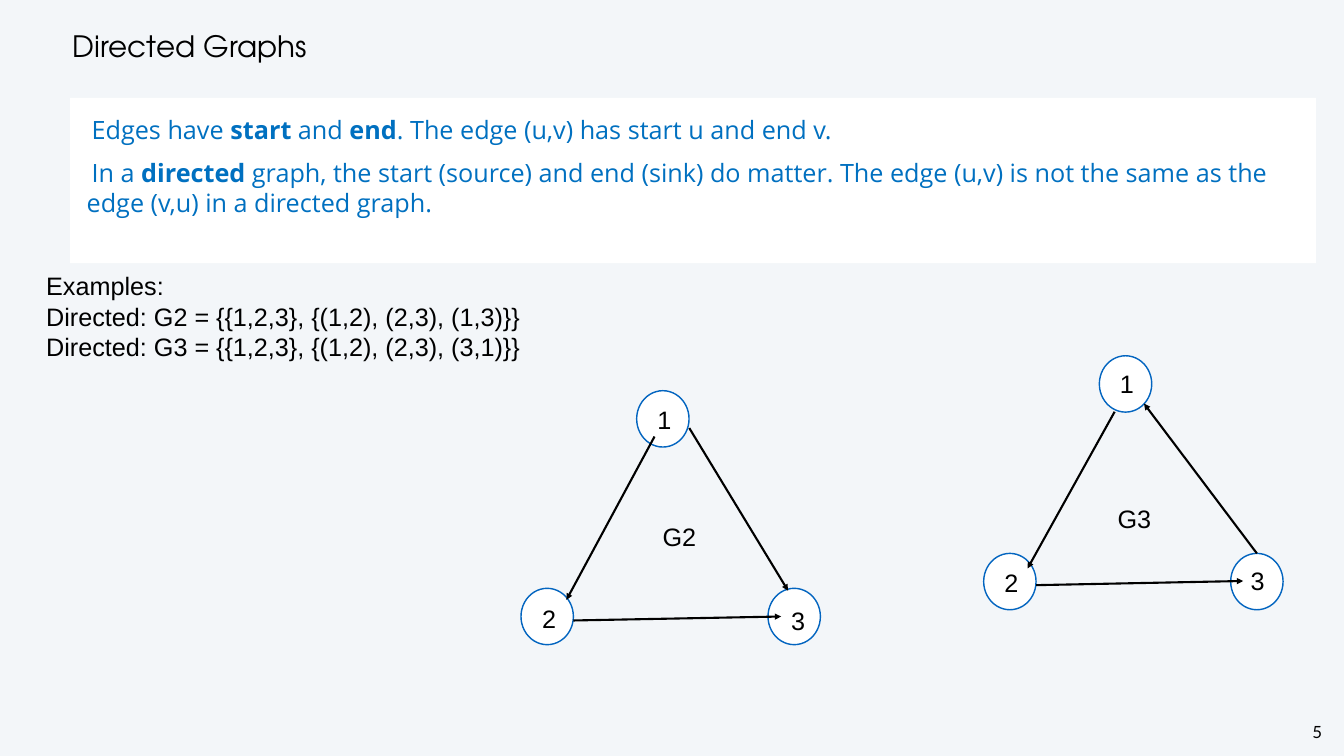
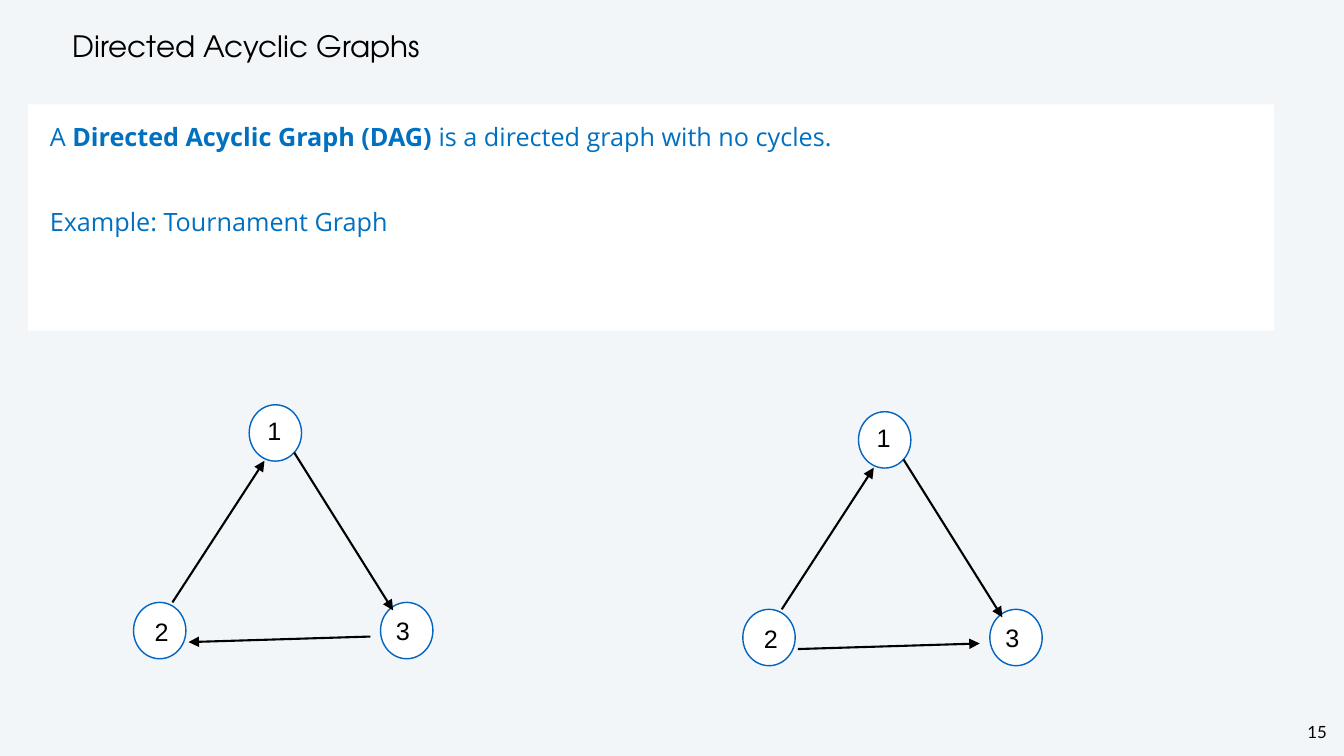
from dataclasses import dataclass, field
from typing import Any, NamedTuple

import pptx
import pptx.dml.color
import pptx.enum.shapes
import pptx.enum.text
import pptx.oxml
import pptx.oxml.ns
import pptx.util
from pptx.util import Cm, Pt

Anchor = pptx.enum.text.MSO_ANCHOR
AutoSize = pptx.enum.text.MSO_AUTO_SIZE
Align = pptx.enum.text.PP_ALIGN
ShapeKind = pptx.enum.shapes.MSO_SHAPE


# Theme: colours, fonts, type sizes
class TextStyle(NamedTuple):
    font: dict[str, Any]
    color: str
    para: dict[str, Any]
    frame: dict[str, Any]
    inset: tuple[float, float]  # horizontal, vertical, in cm
    first_indent: float = 0


@dataclass(frozen=True)
class Theme:
    background: str = "F3F6F9"
    panel: str = "FFFFFF"
    node_line: str = "0365C0"
    edge_line: str = "000000"
    node_width: float = 2
    edge_width: float = 3
    title: TextStyle = TextStyle(
        {"name": "TeX Gyre Adventor", "size": Pt(42)}, "000000",
        {"line_spacing": Pt(50), "space_before": Pt(3)},
        {"word_wrap": True, "vertical_anchor": Anchor.MIDDLE}, (0.15, 0.15))
    body: TextStyle = TextStyle(
        {"name": "Open Sans", "size": Pt(36)}, "0070C0",
        {"line_spacing": Pt(43), "space_before": Pt(18)},
        {"word_wrap": True, "vertical_anchor": Anchor.TOP}, (0.84, 0.84), 0.25)
    examples: TextStyle = TextStyle(
        {"name": "Arial", "size": Pt(36)}, "000000", {},
        {"word_wrap": True, "auto_size": AutoSize.SHAPE_TO_FIT_TEXT}, (0.25, 0.13))
    label: TextStyle = TextStyle(
        {"name": "Arial", "size": Pt(36)}, "000000", {},
        {"word_wrap": True, "auto_size": AutoSize.SHAPE_TO_FIT_TEXT,
         "vertical_anchor": Anchor.MIDDLE}, (0.15, 0.15))
    number: TextStyle = TextStyle(
        {"name": "Lato", "size": Pt(24)}, "000000",
        {"line_spacing": Pt(28), "alignment": Align.CENTER},
        {"word_wrap": False, "auto_size": AutoSize.NONE}, (0.1, 0.1))


THEME = Theme()


# Content types; all lengths in cm
class Span(NamedTuple):
    text: str
    bold: bool = False


class Point(NamedTuple):
    x: float
    y: float


class Area(NamedTuple):
    left: float
    top: float
    width: float
    height: float

    def lengths(self) -> tuple[Cm, ...]:
        return tuple(Cm(value) for value in self)


class Para(NamedTuple):
    spans: list[Span]
    space_before: float | None = None  # points, overrides the style


class Edge(NamedTuple):
    start: Point
    end: Point


@dataclass(frozen=True)
class Graph:
    """Three numbered nodes; labels and edges are relative to the origin."""
    origin: Point
    labels: tuple[Point, ...]
    edges: tuple[Edge, ...]
    arrow_size: str = "med"
    caption: str = ""
    caption_at: Point = Point(0, 0)


@dataclass(frozen=True)
class Page:
    title: str
    number: str
    panel: Area
    body: list[Para]
    graphs: list[Graph]
    examples: list[Para] = field(default_factory=list)


TITLE_AREA = Area(3.53, 1.07, 57.45, 2.51)
NUMBER_AREA = Area(65.49, 36.32, 1.8, 1.19)  # wide enough for two digits
EXAMPLES_AREA = Area(2.08, 13.51, 33.86, 4.88)
NODES = (Point(5.83, 0), Point(0, 9.96), Point(12.45, 9.96))
NODE_SIZE = Point(2.64, 2.84)
LABEL_SIZE = Point(2.74, 1.83)


# Drawing
def rgb(value: str) -> pptx.dml.color.RGBColor:
    return pptx.dml.color.RGBColor.from_string(value)


def apply(target: Any, values: dict[str, Any]) -> None:
    for name, value in values.items():
        setattr(target, name, value)


def write(box: Any, paras: list[Para], style: TextStyle) -> None:
    frame = box.text_frame
    across, down = (Cm(value) for value in style.inset)
    apply(frame, {"margin_left": across, "margin_right": across,
                  "margin_top": down, "margin_bottom": down} | style.frame)
    for index, content in enumerate(paras):
        para = frame.add_paragraph() if index else frame.paragraphs[0]
        apply(para, {"alignment": Align.LEFT} | style.para)
        if content.space_before is not None:
            para.space_before = Pt(content.space_before)
        if style.first_indent:
            properties = para._p.get_or_add_pPr()
            properties.set("marL", "0")
            properties.set("indent", str(Cm(style.first_indent)))
        for span in content.spans:
            run = para.add_run()
            run.text = span.text
            apply(run.font, style.font | {"bold": span.bold})
            run.font.color.rgb = rgb(style.color)


def add_text(shapes: Any, area: Area, paras: list[Para], style: TextStyle) -> None:
    write(shapes.add_textbox(*area.lengths()), paras, style)


def add_filled(shapes: Any, kind: Any, area: Area, line: str = "") -> Any:
    shape = shapes.add_shape(kind, *area.lengths())
    shape.shadow.inherit = False
    shape.fill.solid()
    shape.fill.fore_color.rgb = rgb(THEME.panel)
    if line:
        shape.line.color.rgb = rgb(line)
        shape.line.width = Pt(THEME.node_width)
    else:
        shape.line.fill.background()
    return shape


def add_arrow(shapes: Any, start: Point, end: Point, size: str) -> None:
    arrow = shapes.add_connector(pptx.enum.shapes.MSO_CONNECTOR.STRAIGHT,
                                 *(Cm(value) for value in (*start, *end)))
    arrow.line.color.rgb = rgb(THEME.edge_line)
    arrow.line.width = Pt(THEME.edge_width)
    namespace = pptx.oxml.ns.nsdecls("a")
    arrow.line._get_or_add_ln().append(pptx.oxml.parse_xml(
        f'<a:tailEnd {namespace} type="triangle" w="{size}" len="{size}"/>'))
    arrow._element.spPr.append(pptx.oxml.parse_xml(f"<a:effectLst {namespace}/>"))


def draw_graph(page: Any, graph: Graph) -> None:
    shapes = page.shapes.add_group_shape().shapes

    def place(point: Point) -> Point:
        return Point(graph.origin.x + point.x, graph.origin.y + point.y)

    def label(text: str, point: Point) -> None:
        add_text(shapes, Area(*place(point), *LABEL_SIZE), [Para([Span(text)])], THEME.label)

    for node in NODES:
        add_filled(shapes, ShapeKind.OVAL, Area(*place(node), *NODE_SIZE), THEME.node_line)
    for number, point in enumerate(graph.labels, start=1):
        label(str(number), point)
    for edge in graph.edges:
        add_arrow(shapes, place(edge.start), place(edge.end), graph.arrow_size)
    if graph.caption:
        label(graph.caption, graph.caption_at)


def draw_page(deck: Any, content: Page) -> None:
    page = deck.slides.add_slide(deck.slide_layouts[6])
    add_text(page.shapes, NUMBER_AREA, [Para([Span(content.number)])], THEME.number)
    add_text(page.shapes, TITLE_AREA, [Para([Span(content.title)])], THEME.title)
    panel = add_filled(page.shapes, ShapeKind.RECTANGLE, content.panel)
    write(panel, content.body, THEME.body)
    if content.examples:
        add_text(page.shapes, EXAMPLES_AREA, content.examples, THEME.examples)
    for graph in content.graphs:
        draw_graph(page, graph)


# Graphs of the first slide
G2 = Graph(
    Point(26.26, 19.69),
    (Point(6.73, 0.51), Point(0.91, 10.54), Point(13.46, 10.64)),
    (Edge(Point(6.73, 2.31), Point(2.29, 10.54)),
     Edge(Point(2.64, 11.58), Point(13.11, 11.38)),
     Edge(Point(8.48, 1.88), Point(13.46, 10.08))),
    caption="G2", caption_at=Point(6.99, 6.45))
G3 = Graph(
    Point(49.58, 17.93),
    (Point(6.71, 0.48), Point(0.89, 10.52), Point(13.31, 10.39)),
    (Edge(Point(6.6, 2.82), Point(2.21, 10.72)),
     Edge(Point(2.64, 11.56), Point(13.08, 11.35)),
     Edge(Point(13.77, 9.96), Point(8.08, 2.41))),
    caption="G3", caption_at=Point(6.6, 7.26))

# Graphs of the second slide: they differ only in the direction of the base
TOURNAMENT_LABELS = (Point(6.6, 0.36), Point(0.91, 10.52), Point(13.08, 10.46))
SIDES = (Edge(Point(1.96, 9.96), Point(6.6, 2.82)),
         Edge(Point(8.1, 2.41), Point(13.08, 10.36)))
BASE = Edge(Point(2.77, 11.96), Point(11.94, 11.68))
CYCLIC = Graph(Point(6.73, 20.4), TOURNAMENT_LABELS,
               (*SIDES, Edge(BASE.end, BASE.start)), "lg")
ACYCLIC = Graph(Point(37.44, 20.75), TOURNAMENT_LABELS, (*SIDES, BASE), "lg")

PAGES = [
    Page(
        "Directed Graphs", "5", Area(3.53, 4.93, 62.79, 8.33),
        [Para([Span("Edges have "), Span("start", True), Span(" and "), Span("end", True),
               Span(". The edge (u,v) has start u and end v.")]),
         Para([Span("In a "), Span("directed", True),
               Span(" graph, the start (source) and end (sink) do matter. The edge (u,v) "
                    "is not the same as the edge (v,u) in a directed graph.")])],
        [G2, G3],
        [Para([Span("Examples:")]),
         Para([Span("Directed: G2 = {{1,2,3}, {(1,2), (2,3), (1,3)}}")]),
         Para([Span("Directed: G3 = {{1,2,3}, {(1,2), (2,3), (3,1)}}")])]),
    Page(
        "Directed Acyclic Graphs", "15", Area(1.42, 5.26, 62.79, 11.4),
        [Para([Span("A "), Span("Directed Acyclic Graph (DAG)", True),
               Span(" is a directed graph with no cycles.")]),
         Para([Span("Example: Tournament Graph")], space_before=79)],
        [CYCLIC, ACYCLIC]),
]

# Build the deck
deck = pptx.Presentation()
deck.slide_width, deck.slide_height = Cm(67.74), Cm(38.1)
backdrop = deck.slide_master.background.fill
backdrop.solid()
backdrop.fore_color.rgb = rgb(THEME.background)
for content in PAGES:
    draw_page(deck, content)
deck.save("out.pptx")
